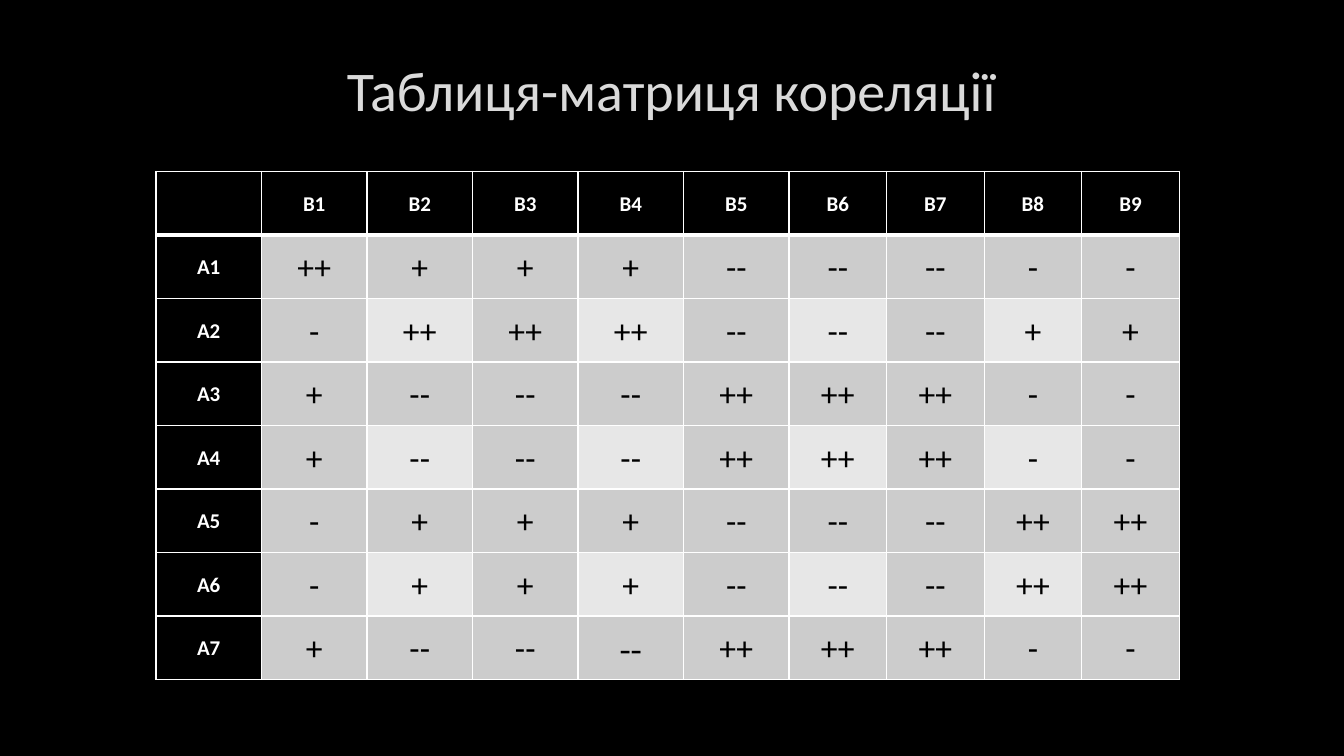
from lxml.etree import SubElement
from pptx import Presentation
from pptx.dml.color import RGBColor
from pptx.enum.text import MSO_ANCHOR as Anchor, PP_ALIGN as Align
from pptx.oxml import parse_xml
from pptx.oxml.ns import nsdecls, qn
from pptx.util import Cm, Pt

COLORS = {
    "black": "000000",
    "white": "FFFFFF",
    "title": "DADADA",
    "title_edge": "404040",
    "band": "CCCCCC",
    "light": "E7E7E7",
}
HEADER = {"size": Pt(15), "bold": True, "name": "Calibri"}
MARK = {"size": Pt(24), "bold": False, "name": "Calibri"}

TITLE = "Таблиця-матриця кореляції"
MATRIX = [
    "++ + + + -- -- -- - -",
    "- ++ ++ ++ -- -- -- + +",
    "+ -- -- -- ++ ++ ++ - -",
    "+ -- -- -- ++ ++ ++ - -",
    "- + + + -- -- -- ++ ++",
    "- + + + -- -- -- ++ ++",
    "+ -- -- -- ++ ++ ++ - -",
]
COLUMN_SHARES = [2.66] * 6 + [2.46] * 4


def color(name):
    return RGBColor.from_string(COLORS[name])


def write(para, text, formats, color_name):
    para.alignment = Align.CENTER
    span = para.add_run()
    span.text = text
    for key, value in formats.items():
        setattr(span.font, key, value)
    span.font.color.rgb = color(color_name)
    return span


def add_title(page, left, top, width, height):
    box = page.shapes.title
    box.left, box.top, box.width, box.height = left, top, width, height
    frame = box.text_frame
    frame.word_wrap = True
    frame.vertical_anchor = Anchor.MIDDLE
    formats = {"size": Pt(40), "bold": False, "name": "Calibri"}
    span = write(frame.paragraphs[0], TITLE, formats, "title")
    # Faint outline around the letters
    outline = parse_xml(
        f'<a:ln {nsdecls("a")} w="{Pt(0.75)}"><a:solidFill>'
        f'<a:srgbClr val="{COLORS["title_edge"]}"><a:alpha val="10000"/></a:srgbClr>'
        "</a:solidFill></a:ln>"
    )
    span.font._element.insert(0, outline)


def add_borders(cell, widths):
    properties = cell._tc.get_or_add_tcPr()
    for side, width in widths.items():
        line = SubElement(properties, qn(f"a:ln{side}"), w=str(Pt(width)))
        fill = SubElement(line, qn("a:solidFill"))
        SubElement(fill, qn("a:srgbClr"), val=COLORS["white"])


def fill_name(row, column):
    if row == 0 or column == 0:
        return "black"
    return "light" if row % 2 == 0 and column % 2 == 0 else "band"


def add_matrix(page, left, top, width, height):
    header = [""] + [f"B{number}" for number in range(1, 10)]
    body = [[f"A{number}"] + marks.split() for number, marks in enumerate(MATRIX, 1)]
    texts = [header] + body
    table = page.shapes.add_table(
        len(texts), len(header), left, top, width, height
    ).table
    for column, share in zip(table.columns, COLUMN_SHARES):
        column.width = int(width * share / sum(COLUMN_SHARES))

    for row, line in enumerate(texts):
        table.rows[row].height = int(height / len(texts))
        for column, text in enumerate(line):
            cell = table.cell(row, column)
            # The rule under the header row is thicker
            add_borders(cell, {
                "L": 1, "R": 1,
                "T": 3 if row == 1 else 1,
                "B": 3 if row == 0 else 1,
            })
            cell.fill.solid()
            cell.fill.fore_color.rgb = color(fill_name(row, column))
            cell.vertical_anchor = Anchor.MIDDLE
            if not text:
                continue
            para = cell.text_frame.paragraphs[0]
            para.line_spacing = 1.07
            if row == 0 or column == 0:
                write(para, text, HEADER, "white")
            else:
                write(para, text, MARK, "black")

    # One mark is set in another typeface
    odd_mark = table.cell(7, 4).text_frame.paragraphs[0].runs[0]
    odd_mark.font.name = "Times New Roman"


def main():
    deck = Presentation()
    deck.slide_width, deck.slide_height = Cm(33.87), Cm(19.05)
    page = deck.slides.add_slide(deck.slide_layouts[5])
    page.background.fill.solid()
    page.background.fill.fore_color.rgb = color("black")
    add_title(page, Cm(2.54), Cm(0.91), Cm(28.75), Cm(2.69))
    add_matrix(page, Cm(3.93), Cm(4.32), Cm(25.8), Cm(12.8))
    deck.save("out.pptx")


if __name__ == "__main__":
    main()
